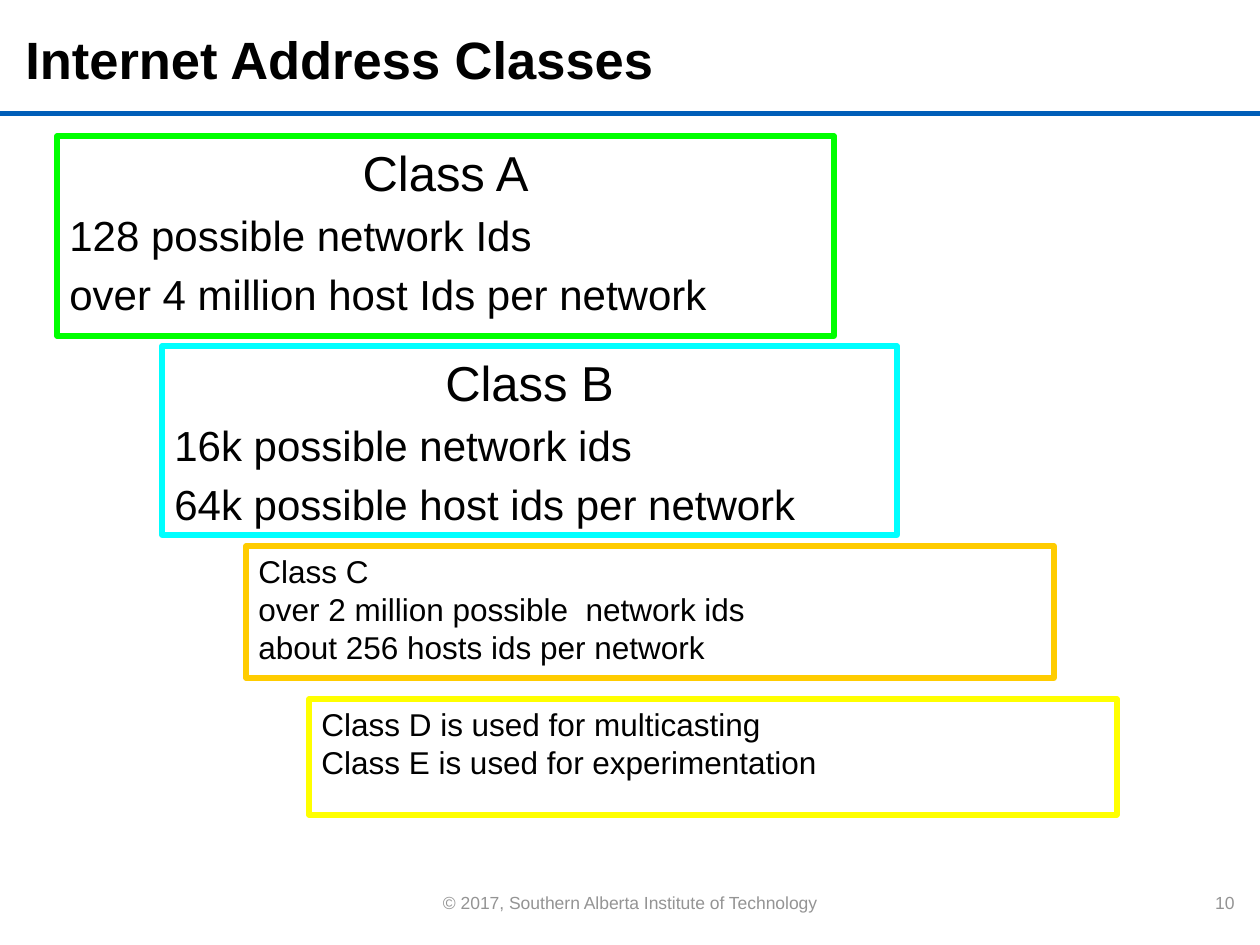
from dataclasses import dataclass

from pptx import Presentation
from pptx.dml.color import RGBColor
from pptx.enum.shapes import MSO_SHAPE
from pptx.enum.text import MSO_ANCHOR, PP_ALIGN
from pptx.slide import Slide
from pptx.text.text import TextFrame
from pptx.util import Emu, Pt

EMU_PER_PX = 914400 / 126
FONT = "Arial"

BLACK = RGBColor(0x00, 0x00, 0x00)
GRAY = RGBColor(0x94, 0x94, 0x94)
BLUE = RGBColor(0x00, 0x5E, 0xB8)
GREEN = RGBColor(0x00, 0xFF, 0x00)
CYAN = RGBColor(0x00, 0xFF, 0xFF)
ORANGE = RGBColor(0xFF, 0xCC, 0x00)
YELLOW = RGBColor(0xFF, 0xFF, 0x00)


@dataclass(frozen=True)
class Area:
    left: int
    top: int
    width: int
    height: int

    def emu(self) -> tuple[Emu, ...]:
        pixels = (self.left, self.top, self.width, self.height)
        return tuple(Emu(round(value * EMU_PER_PX)) for value in pixels)


@dataclass(frozen=True)
class Line:
    text: str
    size: int
    color: RGBColor = BLACK
    bold: bool = False
    align: PP_ALIGN = PP_ALIGN.LEFT
    space_before: float = 0


@dataclass(frozen=True)
class ClassBox:
    area: Area
    color: RGBColor
    lines: list[Line]


def headed_lines(heading: str, *details: str) -> list[Line]:
    """A centred heading over larger lines, each spaced by 20% of its size."""
    return [Line(heading, 28, align=PP_ALIGN.CENTER)] + [
        Line(detail, 24, space_before=4.8) for detail in details
    ]


def plain_lines(*texts: str) -> list[Line]:
    return [Line(text, 18) for text in texts]


def write_lines(text_frame: TextFrame, lines: list[Line], wrap: bool = True) -> None:
    text_frame.word_wrap = wrap
    text_frame.vertical_anchor = MSO_ANCHOR.TOP
    for index, line in enumerate(lines):
        paragraph = text_frame.add_paragraph() if index else text_frame.paragraphs[0]
        paragraph.text = line.text
        paragraph.alignment = line.align
        if line.space_before:
            paragraph.space_before = Pt(line.space_before)
        paragraph.font.name = FONT
        paragraph.font.size = Pt(line.size)
        paragraph.font.bold = line.bold
        paragraph.font.color.rgb = line.color


def add_label(slide: Slide, area: Area, line: Line, wrap: bool = True) -> None:
    text_box = slide.shapes.add_textbox(*area.emu())
    write_lines(text_box.text_frame, [line], wrap)


def add_rule(slide: Slide, area: Area) -> None:
    shape = slide.shapes.add_shape(MSO_SHAPE.RECTANGLE, *area.emu())
    shape.shadow.inherit = False
    shape.fill.solid()
    shape.fill.fore_color.rgb = BLUE
    shape.line.fill.background()


def add_class_box(slide: Slide, box: ClassBox) -> None:
    shape = slide.shapes.add_shape(MSO_SHAPE.RECTANGLE, *box.area.emu())
    shape.shadow.inherit = False
    shape.fill.background()
    shape.line.color.rgb = box.color
    shape.line.width = Pt(3)
    write_lines(shape.text_frame, box.lines)


CLASS_BOXES = [
    ClassBox(Area(57, 136, 777, 200), GREEN, headed_lines(
        "Class A", "128 possible network Ids", "over 4 million host Ids per network")),
    ClassBox(Area(162, 346, 735, 189), CYAN, headed_lines(
        "Class B", "16k possible network ids", "64k possible host ids per network")),
    ClassBox(Area(246, 546, 808, 132), ORANGE, plain_lines(
        "Class C", "over 2 million possible  network ids", "about 256 hosts ids per network")),
    ClassBox(Area(309, 699, 808, 116), YELLOW, plain_lines(
        "Class D is used for multicasting", "Class E is used for experimentation")),
]


def main() -> None:
    presentation = Presentation()
    presentation.slide_width, presentation.slide_height = Area(0, 0, 1260, 945).emu()[2:]
    slide = presentation.slides.add_slide(presentation.slide_layouts[6])

    # Rule and footer
    add_rule(slide, Area(0, 111, 1260, 5))
    add_label(slide, Area(418, 886, 424, 34),
              Line("© 2017, Southern Alberta Institute of Technology", 10, GRAY,
                   align=PP_ALIGN.CENTER), wrap=False)
    add_label(slide, Area(1197, 886, 50, 34), Line("10", 10, GRAY, align=PP_ALIGN.RIGHT))

    # Title
    add_label(slide, Area(13, 21, 922, 87), Line("Internet Address Classes", 30, bold=True))

    # Address classes, stepping down to the right
    for box in CLASS_BOXES:
        add_class_box(slide, box)

    presentation.save("out.pptx")


if __name__ == "__main__":
    main()
